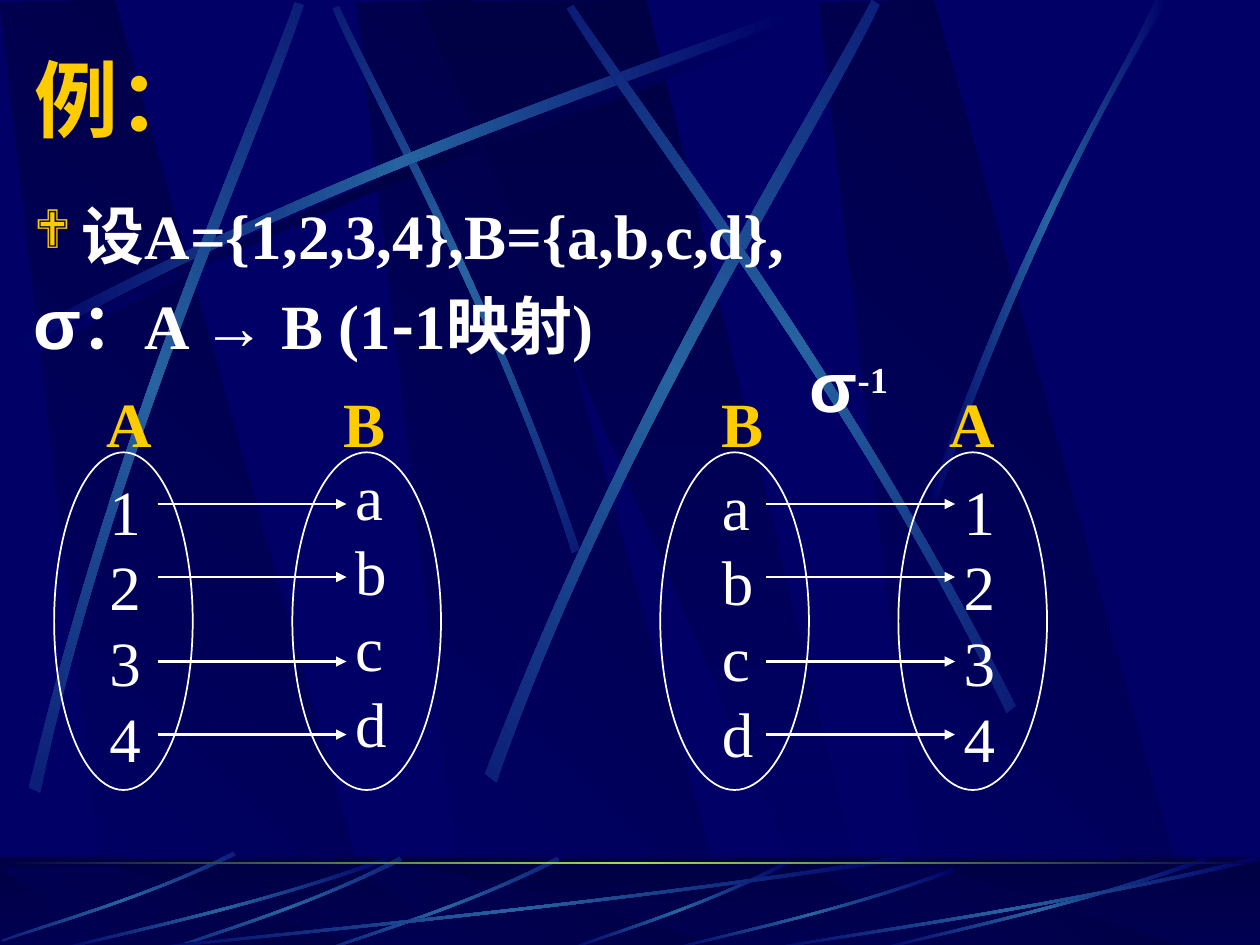
from dataclasses import dataclass
from math import cos, radians, sin

from lxml.etree import SubElement
from pptx import Presentation
from pptx.dml.color import RGBColor
from pptx.enum.shapes import MSO_CONNECTOR, MSO_SHAPE
from pptx.enum.text import MSO_ANCHOR, MSO_AUTO_SIZE, PP_ALIGN
from pptx.oxml.ns import qn
from pptx.util import Inches, Pt


@dataclass(frozen=True)
class Theme:
    base: str = "000066"
    dark: str = "000044"
    streak: str = "2663A0"
    horizon: str = "9CE157"
    accent: str = "FFCC00"
    text: str = "FFFFFF"
    serif: str = "Times New Roman"
    sans: str = "Arial"
    cjk: str = "Noto Sans CJK SC"
    heading: str = "Montserrat"
    title_size: int = 48
    sigma_size: int = 40
    body_size: int = 36


THEME = Theme()
WIDTH, HEIGHT = 10, 7.5
FLOOR, FLOOR_HEIGHT = 6.8, 0.75

TITLE = "例："
SIGMA = ("σ", dict(font=THEME.sans, size=THEME.sigma_size))
STATEMENT = [
    ["设A={1,2,3,4},B={a,b,c,d},"],
    [SIGMA, "：A ", ("→", dict(font=THEME.sans)), " B (1",
     ("-", dict(font=THEME.cjk)), "1", ("映射", dict(font=THEME.cjk)), ")"],
]
INVERSE = [[SIGMA, ("-1", dict(raised=30))]]
NUMBERS, LETTERS = "1234", "abcd"

# Set name, its left and width, members, their left and top, oval left and width
SETS = [
    ("A", 0.75, 0.56, NUMBERS, 0.77, 3.7, 0.43, 1.1),
    ("B", 2.63, 0.53, LETTERS, 2.72, 3.58, 2.32, 1.18),
    ("B", 5.63, 0.53, LETTERS, 5.63, 3.66, 5.24, 1.18),
    ("A", 7.44, 0.56, NUMBERS, 7.55, 3.7, 7.13, 1.18),
]
ARROW_LEFTS, ARROW_ROWS, ARROW_LENGTH = (1.25, 6.08), (4, 4.58, 5.25, 5.83), 1.5

PANEL_LEFTS = (2.83, 0, 6.5)
PANEL = [(0.86, 7.5), (3.02, 7.52), (0.91, 0), (0, 0.02)]
FLOOR_PANEL = [(0.86, 7.54), (3.02, 7.55), (0.91, 6.88), (0, 6.88)]
WEDGE = [(3.33, 0.01), (6.58, 7.51), (6.94, 7.51), (5.13, 0)]
FLOOR_WEDGE = [(3.33, 6.88), (6.58, 7.55), (6.94, 7.55), (5.13, 6.88)]

# Each streak is two cubic edges of four points: out along one side, back along the other
SHADOW_STREAK = [(0.2, 2.75), (2.84, 1.34), (5.24, 0.59), (6.26, 0.18),
                 (6.29, 0.24), (5.28, 0.69), (2.54, 1.51), (0.23, 2.85)]
# Turn of the frame in degrees, and the streak
STREAKS = [
    (45, [(4.6, 4.36), (3.91, 2.34), (3.02, 0.77), (2.69, 0.05),
          (2.64, 0.07), (2.95, 0.79), (3.98, 2.58), (4.54, 4.39)]),
    (0, [(0.14, 2.67), (2.78, 1.25), (5.18, 0.51), (6.2, 0.1),
         (6.23, 0.16), (5.22, 0.61), (2.48, 1.43), (0.17, 2.77)]),
    (311.7, [(0.23, 6.25), (0.93, 3.34), (1.97, 1.05), (2.34, 0.02),
             (2.41, 0.04), (2.07, 1.09), (0.86, 3.68), (0.32, 6.29)]),
    (321.6, [(3.85, 6.14), (4.98, 3.2), (6.38, 1.02), (6.92, 0),
             (6.98, 0.04), (6.49, 1.08), (4.86, 3.55), (3.94, 6.21)]),
    (34.8, [(8.06, 5.6), (6.7, 2.93), (5.16, 0.95), (4.55, 0.04),
            (4.5, 0.07), (5.07, 1.01), (6.85, 3.25), (7.99, 5.66)]),
    (0, [(7.38, 3.94), (8.14, 1.73), (8.88, 0.66), (9.17, 0),
         (9.27, 0), (8.36, 1.45), (7.69, 3.22), (7.44, 3.97)]),
]
# Turn, left, top, width and height of the floor streaks, which share one outline
FLOOR_STREAKS = [
    (0, 4.48, 6.82, 1.8, 0.73), (314.9, 2.56, 6.8, 1.88, 0.75),
    (314.9, 1.31, 6.8, 1.88, 0.75), (314.9, 0.01, 6.76, 1.86, 0.71),
    (0, 1, 6.8, 6.17, 0.75), (0, 0.42, 6.8, 2.67, 0.75), (0, 5.27, 6.89, 2.31, 0.66),
    (0, 6.92, 6.8, 2.67, 0.75), (0, 6, 6.8, 4, 0.75),
]
FLOOR_OUTLINE = [(1, 0.04), (0.57, 0.57), (0.17, 0.85), (0.01, 1),
                 (0, 0.99), (0.17, 0.81), (0.62, 0.51), (0.99, 0)]


def rgb(color):
    return RGBColor.from_string(color)


def box(*lengths):
    return [Inches(length) for length in lengths]


def paint(shape, colors, angle=0, alpha=None):
    """Fill with one colour or an evenly spaced gradient, angle clockwise."""
    shape.shadow.inherit = False
    shape.line.fill.background()
    if len(colors) == 1:
        shape.fill.solid()
        shape.fill.fore_color.rgb = rgb(colors[0])
        if alpha:
            color = shape.element.spPr.find(".//" + qn("a:srgbClr"))
            SubElement(color, qn("a:alpha"), val=str(alpha * 1000))
        return
    shape.fill.gradient()
    shape.fill.gradient_angle = -angle % 360
    stops = shape.element.spPr.find(".//" + qn("a:gsLst"))
    stops.clear()
    for index, color in enumerate(colors):
        position = round(100000 * index / (len(colors) - 1))
        stop = SubElement(stops, qn("a:gs"), pos=str(position))
        SubElement(stop, qn("a:srgbClr"), val=color)


def add_outline(slide, points, colors, angle=0):
    start, *others = [box(*point) for point in points]
    builder = slide.shapes.build_freeform(*start, scale=1.0)
    builder.add_line_segments(others, close=True)
    shape = builder.convert_to_shape()
    paint(shape, colors, angle)
    return shape


def turn(point, degrees):
    x, y = point
    cosine, sine = cos(radians(degrees)), sin(radians(degrees))
    return x * cosine - y * sine, x * sine + y * cosine


def add_streak(slide, points, colors, degrees=0):
    """Draw the outline level, bend its two long edges, then turn it into place."""
    shape = add_outline(slide, [turn(point, -degrees) for point in points], colors)
    segments = list(shape.element.spPr.iter(qn("a:lnTo")))
    for edge in (segments[:3], segments[4:7]):
        edge[0].tag = qn("a:cubicBezTo")
        for segment in edge[1:]:
            edge[0].append(segment[0])
            segment.getparent().remove(segment)
    half_width, half_height = shape.width / 2, shape.height / 2
    x, y = turn((shape.left + half_width, shape.top + half_height), degrees)
    shape.left, shape.top = round(x - half_width), round(y - half_height)
    shape.rotation = degrees


def add_bar(slide, top, height, colors, **fill):
    bar = slide.shapes.add_shape(MSO_SHAPE.RECTANGLE, *box(0, top, WIDTH, height))
    paint(bar, colors, **fill)


def add_panels(slide, panel, wedge):
    for left in PANEL_LEFTS:
        add_outline(slide, [(left + x, y) for x, y in panel], (THEME.base, THEME.dark), 315)
    add_outline(slide, wedge, (THEME.dark, THEME.base), 90)


def add_backdrop(slide):
    glow = (THEME.base, THEME.streak, THEME.base)
    add_panels(slide, PANEL, WEDGE)
    add_streak(slide, SHADOW_STREAK, (THEME.base, THEME.dark, THEME.base))
    for degrees, points in STREAKS:
        add_streak(slide, points, glow, degrees)
    add_bar(slide, FLOOR, FLOOR_HEIGHT, (THEME.dark, THEME.base), angle=90)
    add_panels(slide, FLOOR_PANEL, FLOOR_WEDGE)
    add_bar(slide, FLOOR, FLOOR_HEIGHT, (THEME.dark,), alpha=50)
    for degrees, left, top, width, height in FLOOR_STREAKS:
        points = [(left + x * width, top + y * height) for x, y in FLOOR_OUTLINE]
        add_streak(slide, points, glow, degrees)
    add_bar(slide, 6.84, 0.02, (THEME.dark, THEME.horizon, THEME.dark))


def write(shape, paragraphs, font=THEME.serif, size=THEME.body_size, color=THEME.text,
          bold=False, wrap=True, align=PP_ALIGN.LEFT, spacing=None, gap=0):
    """Write paragraphs of runs; a run is a text or a (text, format) pair."""
    frame = shape.text_frame
    frame.word_wrap = wrap
    frame.auto_size = MSO_AUTO_SIZE.NONE if wrap else MSO_AUTO_SIZE.SHAPE_TO_FIT_TEXT
    for index, runs in enumerate(paragraphs):
        paragraph = frame.add_paragraph() if index else frame.paragraphs[0]
        paragraph.alignment = align
        paragraph.line_spacing = spacing
        paragraph.space_before = Pt(gap if index else 0)
        for item in runs:
            text, own = (item, {}) if isinstance(item, str) else item
            run = paragraph.add_run()
            run.text = text
            run.font.name = own.get("font", font)
            run.font.size = Pt(own.get("size", size))
            run.font.bold = bold
            run.font.color.rgb = rgb(color)
            properties = run.font._element
            SubElement(properties, qn("a:ea"), typeface=THEME.cjk)
            if "raised" in own:
                properties.set("baseline", str(own["raised"] * 1000))
    return frame


def add_text(slide, place, paragraphs, **style):
    return write(slide.shapes.add_textbox(*box(*place)), paragraphs, **style)


def add_bullet(paragraph, mark, indent):
    properties = paragraph._p.get_or_add_pPr()
    properties.set("marL", str(Inches(indent)))
    properties.set("indent", str(-Inches(indent)))
    SubElement(SubElement(properties, qn("a:buClr")), qn("a:srgbClr"), val=THEME.accent)
    SubElement(properties, qn("a:buSzPct"), val="85000")
    SubElement(properties, qn("a:buFont"), typeface="Wingdings", charset="2")
    SubElement(properties, qn("a:buChar"), char=mark)


def add_arrow(slide, left, y):
    ends = box(left, y, left + ARROW_LENGTH, y)
    arrow = slide.shapes.add_connector(MSO_CONNECTOR.STRAIGHT, *ends)
    arrow.line.color.rgb = rgb(THEME.text)
    arrow.line.width = Pt(1.5)
    SubElement(arrow.line._get_or_add_ln(), qn("a:tailEnd"), type="triangle")
    SubElement(arrow.element.spPr, qn("a:effectLst"))


def add_set(slide, name, name_left, name_width, members, left, top, oval_left, oval_width):
    add_text(slide, (name_left, 3, name_width, 0.7), [[name]],
             color=THEME.accent, bold=True, wrap=False)
    add_text(slide, (left, top, 0.45, 2.5), members, wrap=False)
    oval = slide.shapes.add_shape(MSO_SHAPE.OVAL, *box(oval_left, 3.59, oval_width, 2.68))
    oval.shadow.inherit = False
    oval.fill.background()
    oval.line.color.rgb = rgb(THEME.text)
    oval.line.width = Pt(1)


def main():
    presentation = Presentation()
    presentation.slide_width, presentation.slide_height = box(WIDTH, HEIGHT)
    slide = presentation.slides.add_slide(presentation.slide_layouts[5])
    slide.background.fill.solid()
    slide.background.fill.fore_color.rgb = rgb(THEME.base)
    add_backdrop(slide)

    title = slide.shapes.title
    slide.shapes.element.append(title.element)  # bring in front of the backdrop
    title.left, title.top, title.width, title.height = box(0.17, 0.33, 8.5, 0.9)
    write(title, [[TITLE]], font=THEME.heading, size=THEME.title_size, color=THEME.accent,
          bold=True).vertical_anchor = MSO_ANCHOR.MIDDLE
    statement = add_text(slide, (0.17, 1.58, 9.67, 1.5), STATEMENT, bold=True,
                         align=PP_ALIGN.JUSTIFY, spacing=0.9, gap=9)
    add_bullet(statement.paragraphs[0], "❖", 0.38)
    add_text(slide, (6.33, 2.67, 1.5, 0.77), INVERSE, bold=True)
    for row in SETS:
        add_set(slide, *row)
    for left in ARROW_LEFTS:
        for y in ARROW_ROWS:
            add_arrow(slide, left, y)
    presentation.save("out.pptx")


if __name__ == "__main__":
    main()
